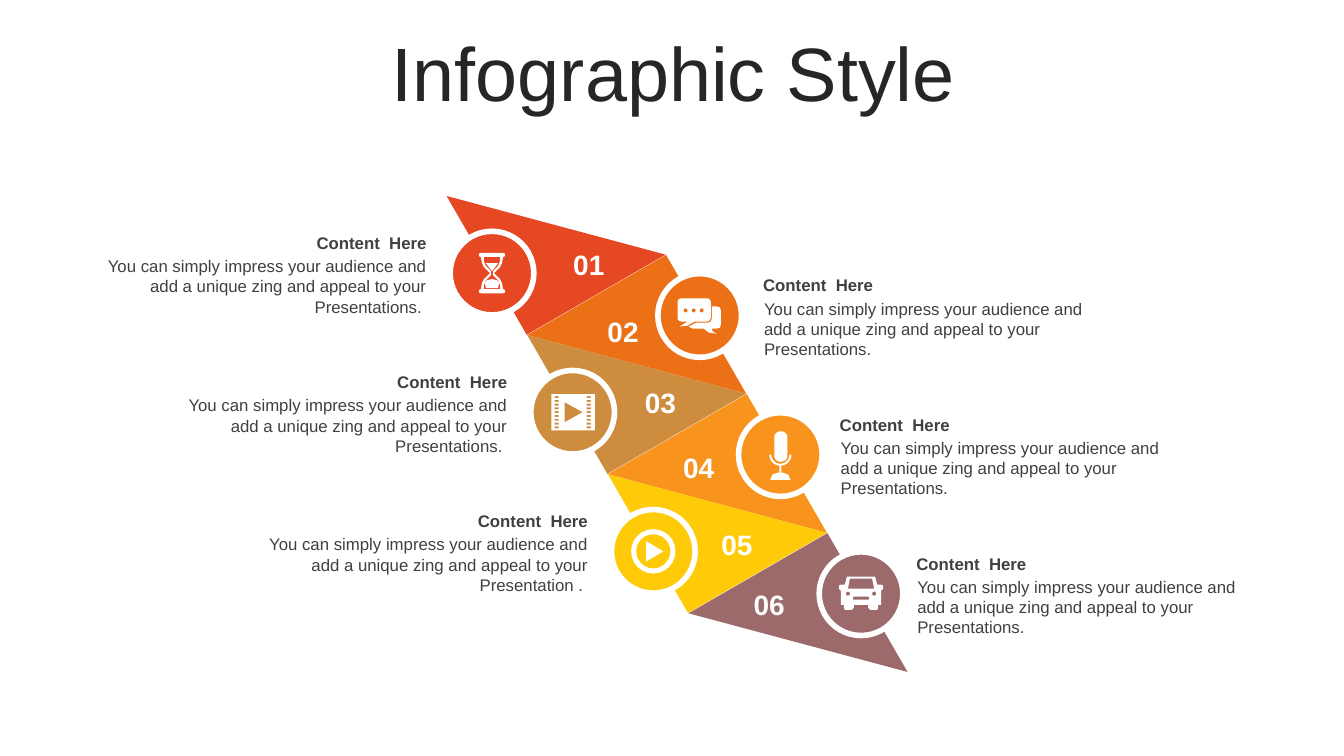
from math import cos, sin, pi

from pptx import Presentation
from pptx.dml.color import RGBColor
from pptx.enum import shapes as shp, text as txt
from pptx.util import Inches, Pt

HUES = {
    "01": "E64823", "02": "EC7016", "03": "CE8D3E",
    "04": "F8931D", "05": "FFCA08", "06": "9C6A6A",
    "white": "FFFFFF", "title": "262626", "text": "404040",
}
BODY = "You can simply impress your audience and add a unique zing and appeal to your "
ENDS = ["Presentations. ", "Presentations.", "Presentations. ",
        "Presentations.", "Presentation . ", "Presentations."]
SPOTS = [(5.49, 2.4), (5.83, 3.07), (6.2, 3.77), (6.58, 4.42), (6.96, 5.18), (7.28, 5.78)]
STEP_X, STEP_Y = 0.8, 1.38
SIDE, RING = 1.59, 0.83
KIND, ALIGN, ANCHOR = shp.MSO_SHAPE, txt.PP_ALIGN, txt.MSO_ANCHOR
FRAME = {"word_wrap": True, "auto_size": txt.MSO_AUTO_SIZE.SHAPE_TO_FIT_TEXT}
LABEL = {"size": Pt(12), "name": "Arial", "bold": False}


def color(key):
    return RGBColor.from_string(HUES[key])


def apply(obj, form):
    for key, val in form.items():
        setattr(obj, key, val)


def arc(x, y, r, start, end):
    turns = [start + (end - start) * i / 24 for i in range(25)]
    return [(x + r * cos(a * pi / 180), y + r * sin(a * pi / 180)) for a in turns]


def disc(x, y, r):
    return arc(x, y, r, 0, 360)


def box(l, t, r, b):
    return [(l, t), (r, t), (r, b), (l, b)]


def pill(l, t, r, b, c):
    return (arc(l + c, t + c, c, 180, 270) + arc(r - c, t + c, c, 270, 360)
            + arc(r - c, b - c, c, 0, 90) + arc(l + c, b - c, c, 90, 180))


def mirror(pts):
    return pts + [(-x, y) for x, y in reversed(pts)]


def glass():
    return [
        pill(-0.13, -0.2, 0.13, -0.16, 0.02), pill(-0.13, 0.16, 0.13, 0.2, 0.02),
        mirror([(-0.11, -0.16), (-0.1, -0.1), (-0.08, -0.06), (-0.02, 0),
                (-0.08, 0.06), (-0.1, 0.1), (-0.11, 0.16)]),
        mirror([(-0.08, -0.16), (-0.08, -0.12), (-0.06, -0.07), (-0.01, -0.02),
                (-0.01, 0.02), (-0.06, 0.07), (-0.08, 0.12), (-0.08, 0.16)]),
        mirror([(-0.06, -0.1), (-0.04, -0.07), (0, -0.02)]),
        mirror([(-0.06, 0.15), (-0.07, 0.1), (-0.05, 0.07), (0, 0.06)]),
    ]


def chat():
    back = [(0.12, -0.09), (0.17, -0.09), (0.2, -0.08), (0.21, -0.05), (0.21, 0.09),
            (0.2, 0.12), (0.17, 0.13), (0.12, 0.13), (0.13, 0.16), (0.17, 0.18),
            (0.09, 0.17), (0.04, 0.13), (-0.07, 0.13), (-0.11, 0.11), (-0.03, 0.07),
            (0.08, 0.07), (0.11, 0.06), (0.12, 0.03)]
    tail = [(-0.12, 0.06), (-0.2, 0.11), (-0.12, 0.1), (-0.05, 0.06)]
    dots = [disc(x, -0.05, 0.02) for x in (-0.14, -0.06, 0.02)]
    return [pill(-0.22, -0.17, 0.11, 0.06, 0.04), tail, back] + dots


def film():
    holes = [box(x, y, x + 0.04, y + 0.02)
             for x in (-0.18, 0.14) for y in (-0.16 + 0.3 * i / 8 for i in range(9))]
    return [box(-0.21, -0.18, 0.22, 0.18), [(-0.08, -0.1), (-0.08, 0.1), (0.1, 0)]] + holes


def mic():
    return [
        pill(-0.06, -0.23, 0.07, 0.07, 0.06),
        arc(0, 0, 0.11, 0, 180) + arc(0, 0, 0.09, 180, 0),
        box(-0.01, 0.11, 0.01, 0.18),
        mirror([(-0.1, 0.25), (-0.08, 0.2), (-0.03, 0.18)]),
    ]


def play():
    return [disc(0, 0, 0.22), disc(0, 0, 0.17), [(-0.07, -0.1), (-0.07, 0.1), (0.1, 0)]]


def car():
    return [
        mirror([(-0.14, -0.17), (-0.16, -0.09), (-0.2, -0.09), (-0.22, -0.08),
                (-0.22, -0.05), (-0.2, -0.03), (-0.2, 0.11), (-0.17, 0.11),
                (-0.17, 0.14), (-0.16, 0.16), (-0.09, 0.16), (-0.07, 0.14), (-0.07, 0.11)]),
        mirror([(-0.11, -0.15), (-0.13, -0.05)]),
        disc(-0.13, 0, 0.02), disc(0.13, 0, 0.02),
        pill(-0.08, 0.03, 0.08, 0.06, 0.01),
    ]


def paint(shape, key):
    shape.shadow.inherit = False
    shape.fill.solid()
    shape.fill.fore_color.rgb = color(key)
    shape.line.fill.background()


def preset(slide, kind, x, y, size, key):
    shape = slide.shapes.add_shape(kind, *map(Inches, (x, y, size, size)))
    paint(shape, key)
    return shape


def icon(slide, x, y, rings):
    build = None
    for ring in rings:
        pts = [(Inches(x + dx), Inches(y + dy)) for dx, dy in ring]
        if build is None:
            build = slide.shapes.build_freeform(*pts[0])
        else:
            build.move_to(*pts[0])
        build.add_line_segments(pts[1:], close=True)
    paint(build.convert_to_shape(), "white")


def write(frame, words, align, anchor, form, key):
    frame.vertical_anchor = anchor
    para = frame.paragraphs[0]
    para.alignment = align
    run = para.add_run()
    run.text = words
    apply(run.font, form)
    run.font.color.rgb = color(key)
    return para


def label(slide, area, *args):
    frame = slide.shapes.add_textbox(*map(Inches, area)).text_frame
    apply(frame, FRAME)
    write(frame, *args)


def title(slide, area):
    head = slide.shapes.title
    apply(head, dict(zip(("left", "top", "width", "height"), map(Inches, area))))
    head.text_frame.auto_size = txt.MSO_AUTO_SIZE.NONE
    para = write(head.text_frame, "Infographic Style", ALIGN.CENTER, ANCHOR.MIDDLE,
                 {"size": Pt(54), "name": "Arial"}, "title")
    para.line_spacing = 0.9


def note(slide, area, end, align):
    x, y, width = area
    label(slide, (x, y, width, 0.3), "Content  Here", align, ANCHOR.MIDDLE,
          LABEL | {"bold": True}, "text")
    label(slide, (x + 0.01, y + 0.23, width - 0.01, 0.71), BODY + end, align, ANCHOR.TOP,
          LABEL, "text")


def step(slide, i, draw):
    row, right = divmod(i, 2)
    key = f"{i + 1:02}"
    dx, dy = row * STEP_X, row * STEP_Y
    wedge = preset(slide, KIND.RIGHT_TRIANGLE, 4.72 + dx + right * STEP_X,
                   1.44 + dy + right * STEP_Y, SIDE, key)
    wedge.rotation = 150 if right else 330
    x, y = (6.94 + dx, 3.13 + dy) if right else (4.88 + dx, 2.71 + dy)
    ring = preset(slide, KIND.OVAL, x - RING / 2, y - RING / 2, RING, key)
    ring.line.color.rgb = color("white")
    ring.line.width = Pt(4)
    icon(slide, x, y, draw())
    label(slide, (*SPOTS[i], 0.7, 0.44), key, ALIGN.CENTER, ANCHOR.MIDDLE,
          LABEL | {"size": Pt(20), "bold": True}, "white")
    if right:
        note(slide, (7.47 + 0.76 * row, 2.68 + dy, 3.38), ENDS[i], ALIGN.LEFT)
    else:
        note(slide, (0.68 + dx, 2.26 + dy, 3.65), ENDS[i], ALIGN.RIGHT)


def main():
    deck = Presentation()
    apply(deck, {"slide_width": Inches(13.33), "slide_height": Inches(7.5)})
    slide = deck.slides.add_slide(deck.slide_layouts[5])
    title(slide, (0.35, 0.37, 12.66, 0.79))
    for i, draw in enumerate((glass, chat, film, mic, play, car)):
        step(slide, i, draw)
    deck.save("out.pptx")


if __name__ == "__main__":
    main()
